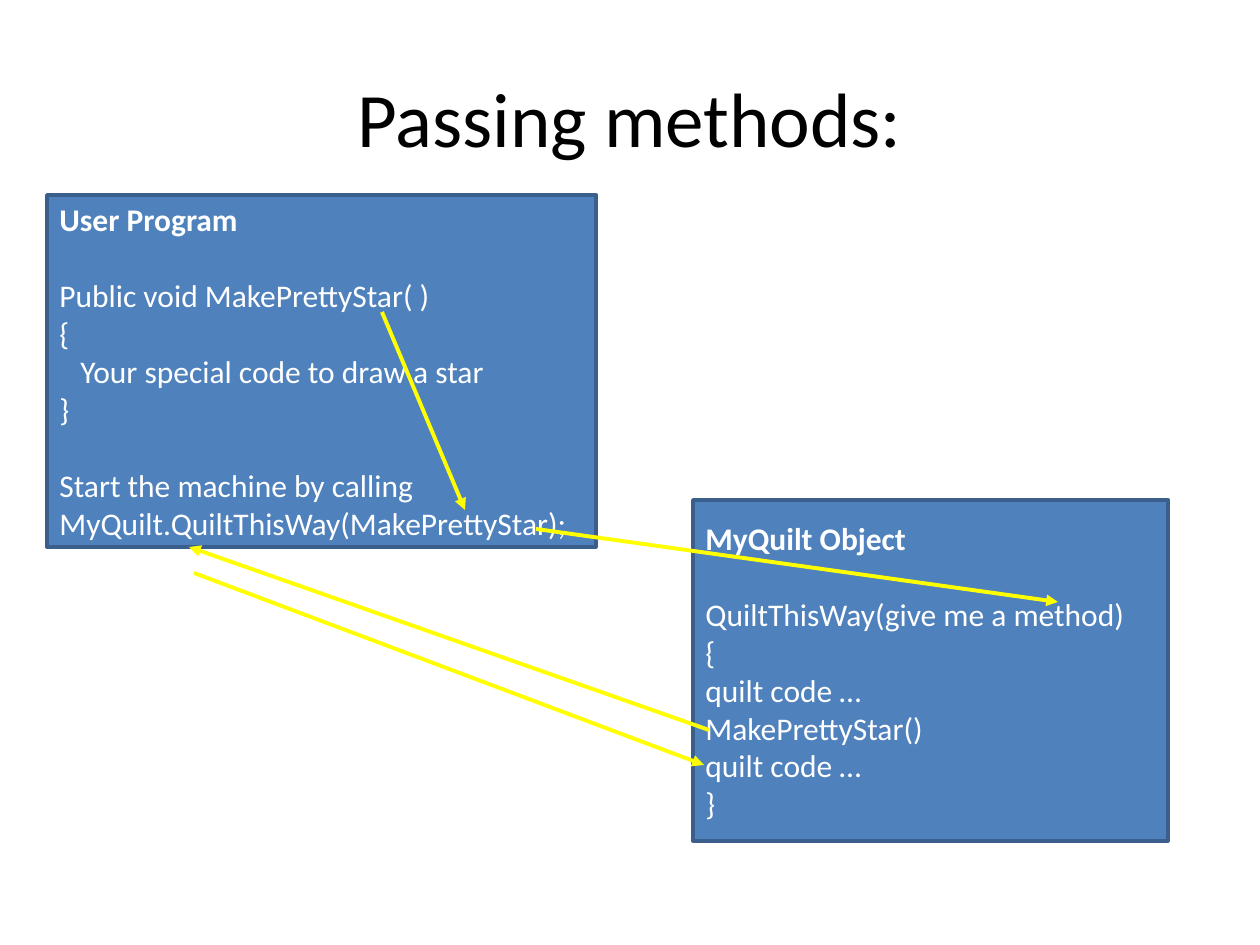
from lxml.etree import SubElement
from pptx import Presentation
from pptx.dml.color import RGBColor
from pptx.enum.shapes import MSO_CONNECTOR as Connector, MSO_SHAPE as Preset
from pptx.enum.text import MSO_ANCHOR as Anchor, PP_ALIGN as Align
from pptx.oxml.ns import qn
from pptx.util import Pt

WIDTH, HEIGHT = 1260, 945
SCALE = 914400 / WIDTH * 10

THEME = {
    "font": "Calibri",
    "title_size": 44,
    "body_size": 18,
    "line_space": 22,
    "border_width": 2,
    "arrow_width": 2.25,
    "ink": "000000",
    "paper": "FFFFFF",
    "box": "4F81BD",
    "border": "3A5F8C",
    "arrow": "FFFF00",
}

TITLE = ("Passing methods:", (63, 38, 1134, 158))
CODE_INDENT = 21

BOXES = [
    {
        "frame": (693, 500, 475, 341),
        "heading": "MyQuilt Object",
        "blocks": [
            [
                ("QuiltThisWay(give me a method)", 0),
                ("{", 0),
                ("quilt code …", 0),
                ("MakePrettyStar()", 0),
                ("quilt code …", 0),
                ("}", 0),
            ],
        ],
    },
    {
        "frame": (47, 195, 549, 352),
        "heading": "User Program",
        "blocks": [
            [
                ("Public void MakePrettyStar( )", 0),
                ("{", 0),
                ("Your special code to draw a star", 1),
                ("}", 0),
            ],
            [
                ("Start the machine by calling", 0),
                ("MyQuilt.QuiltThisWay(MakePrettyStar);", 0),
            ],
        ],
    },
]

ARROWS = [
    ((382, 312), (465, 510)),
    ((536, 529), (1058, 602)),
    ((709, 730), (189, 547)),
    ((194, 573), (704, 765)),
]


def emu(*lengths):
    return [round(length * SCALE) for length in lengths]


def color(name):
    return RGBColor.from_string(THEME[name])


def apply_format(target, values):
    for name, value in values.items():
        setattr(target, name, value)


def write(paragraph, text, size, ink, bold=False):
    run = paragraph.add_run()
    run.text = text
    apply_format(run.font, {"name": THEME["font"], "size": Pt(THEME[size]), "bold": bold})
    run.font.color.rgb = color(ink)


def add_title(slide, text, frame):
    title = slide.shapes.title
    apply_format(title, dict(zip(("left", "top", "width", "height"), emu(*frame))))
    title.text_frame.vertical_anchor = Anchor.MIDDLE
    paragraph = title.text_frame.paragraphs[0]
    paragraph.alignment = Align.CENTER
    write(paragraph, text, "title_size", "ink")


def add_box(slide, frame, heading, blocks):
    shape = slide.shapes.add_shape(Preset.RECTANGLE, *emu(*frame))
    shape.shadow.inherit = False
    shape.fill.solid()
    shape.fill.fore_color.rgb = color("box")
    shape.line.color.rgb = color("border")
    shape.line.width = Pt(THEME["border_width"])
    text_frame = shape.text_frame
    apply_format(text_frame, {"word_wrap": True, "vertical_anchor": Anchor.MIDDLE})
    paragraph = text_frame.paragraphs[0]
    paragraph.alignment = Align.LEFT
    write(paragraph, heading, "body_size", "paper", bold=True)
    for block in blocks:
        for row, (text, level) in enumerate(block):
            paragraph = text_frame.add_paragraph()
            space = 0 if row else THEME["line_space"]
            apply_format(paragraph, {"alignment": Align.LEFT, "space_before": Pt(space)})
            if level:
                properties = paragraph._p.get_or_add_pPr()
                properties.set("marL", str(emu(level * CODE_INDENT)[0]))
            write(paragraph, text, "body_size", "paper")


def add_arrow(slide, start, end):
    arrow = slide.shapes.add_connector(Connector.STRAIGHT, *emu(*start, *end))
    arrow.line.color.rgb = color("arrow")
    arrow.line.width = Pt(THEME["arrow_width"])
    SubElement(arrow.line._get_or_add_ln(), qn("a:tailEnd"), type="triangle")
    SubElement(arrow._element.spPr, qn("a:effectLst"))


def main():
    presentation = Presentation()
    presentation.slide_width, presentation.slide_height = emu(WIDTH, HEIGHT)
    slide = presentation.slides.add_slide(presentation.slide_layouts[5])
    add_title(slide, *TITLE)
    for box in BOXES:
        add_box(slide, **box)
    for start, end in ARROWS:
        add_arrow(slide, start, end)
    presentation.save("out.pptx")


if __name__ == "__main__":
    main()
